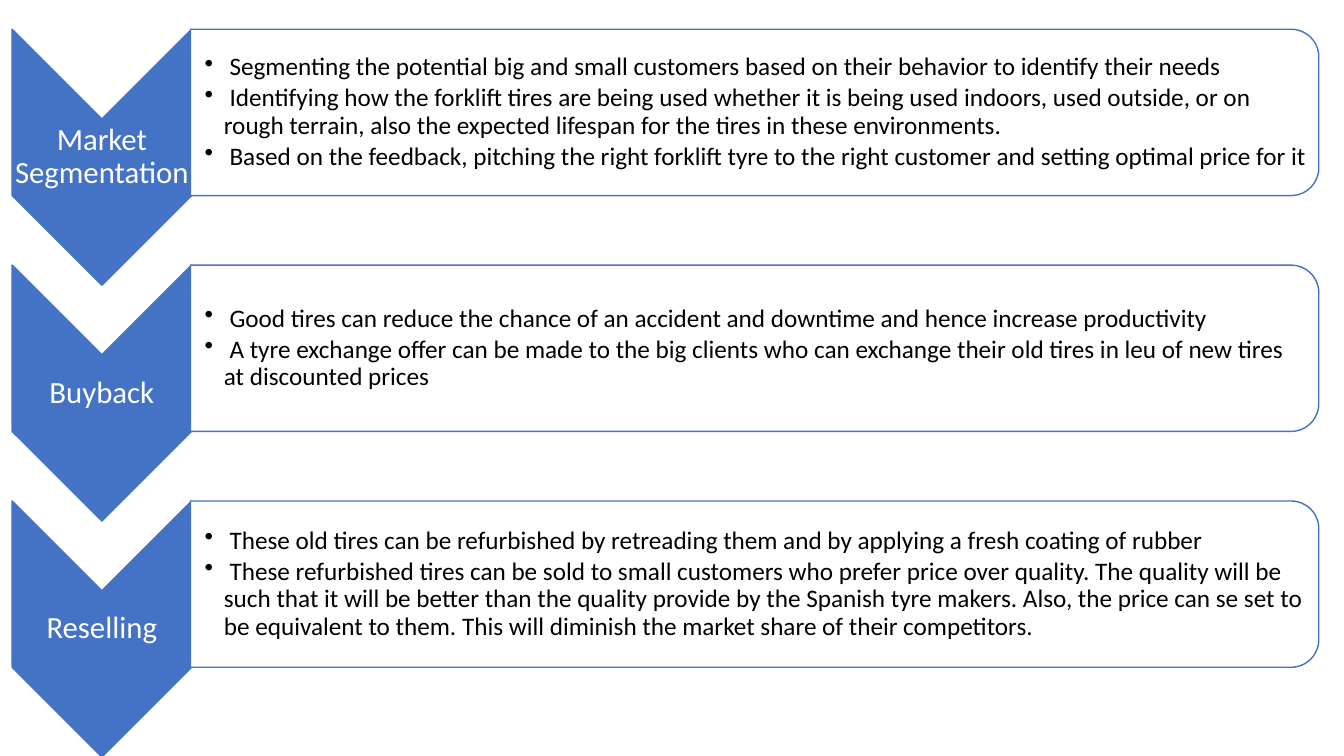
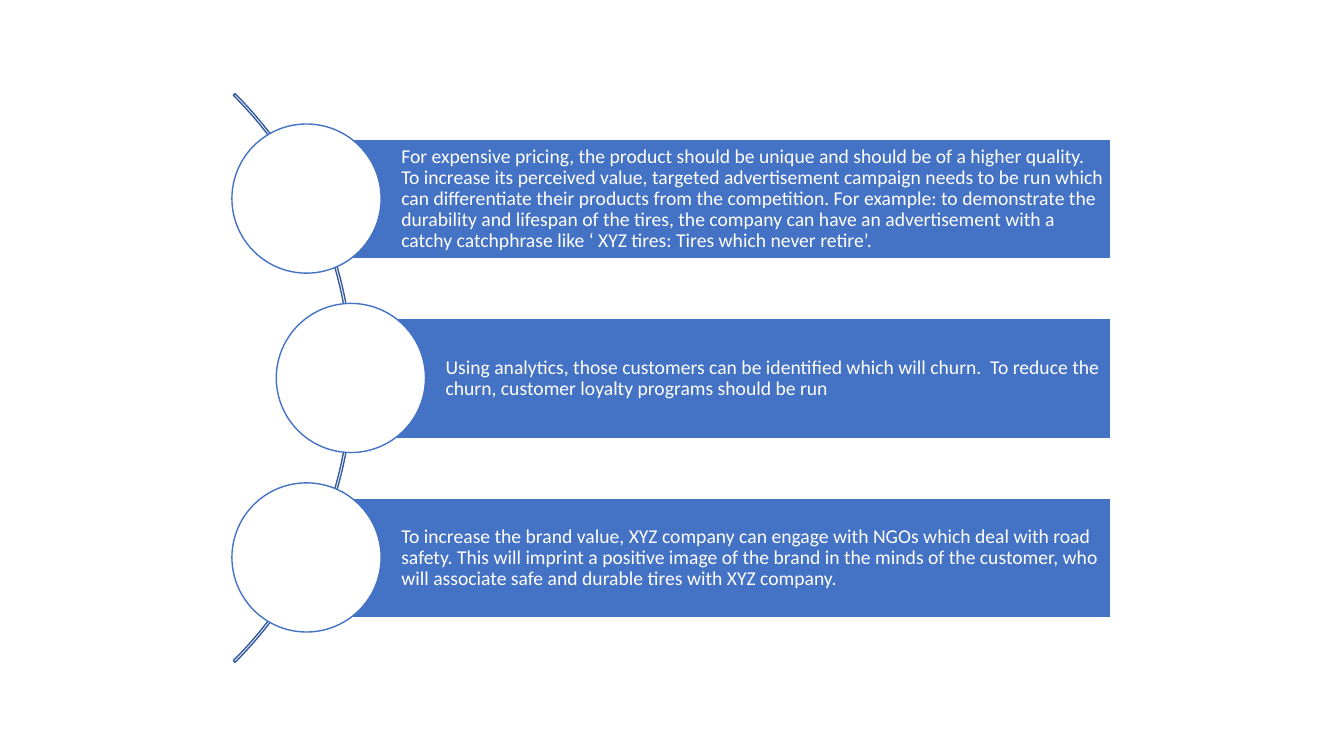
"""Build two slides: a chevron process list and a curved list of recommendations."""
from lxml import etree
from pptx import Presentation
from pptx.dml.color import RGBColor
from pptx.enum.shapes import MSO_SHAPE
from pptx.enum.text import MSO_ANCHOR, PP_ALIGN
from pptx.oxml.ns import qn
from pptx.util import Inches, Pt

CHEVRON = MSO_SHAPE.CHEVRON
ROUND_SIDE = MSO_SHAPE.ROUND_2_SAME_RECTANGLE
RECTANGLE = MSO_SHAPE.RECTANGLE
OVAL = MSO_SHAPE.OVAL
BLOCK_ARC = MSO_SHAPE.BLOCK_ARC
MIDDLE = MSO_ANCHOR.MIDDLE
LEFT, CENTER = PP_ALIGN.LEFT, PP_ALIGN.CENTER

FONT = "Calibri"
BLUE, DARK_BLUE, WHITE, BLACK = "4472C4", "365B9D", "FFFFFF", "000000"
BULLET_INDENT = Inches(0.19)

STEPS = [
    ("Market Segmentation", [
        " Segmenting the potential big and small customers based on their behavior to identify their needs",
        " Identifying how the forklift tires are being used whether it is being used indoors, used outside, "
        "or on rough terrain, also the expected lifespan for the tires in these environments.",
        " Based on the feedback, pitching the right forklift tyre to the right customer and setting "
        "optimal price for it",
    ]),
    ("Buyback", [
        " Good tires can reduce the chance of an accident and downtime and hence increase productivity",
        " A tyre exchange offer can be made to the big clients who can exchange their old tires in leu of "
        "new tires at discounted prices",
    ]),
    ("Reselling", [
        " These old tires can be refurbished by retreading them and by applying a fresh coating of rubber",
        " These refurbished tires can be sold to small customers who prefer price over quality. The quality "
        "will be such that it will be better than the quality provide by the Spanish tyre makers. Also, the "
        "price can se set to be equivalent to them. This will diminish the market share of their competitors.",
    ]),
]

RECOMMENDATIONS = [
    (3.04, "For expensive pricing, the product should be unique and should be of a higher quality. To increase "
           "its perceived value, targeted advertisement campaign needs to be run which can differentiate their "
           "products from the competition. For example: to demonstrate the durability and lifespan of the tires, "
           "the company can have an advertisement with a catchy catchphrase like ‘ XYZ tires: Tires which never "
           "retire’."),
    (3.48, "Using analytics, those customers can be identified which will churn.  To reduce the churn, customer "
           "loyalty programs should be run"),
    (3.04, "To increase the brand value, XYZ company can engage with NGOs which deal with road safety. This will "
           "imprint a positive image of the brand in the minds of the customer, who will associate safe and "
           "durable tires with XYZ company."),
]


def add_box(slide, kind, left, top, width, height, fill, line, turned=False):
    """Add a shape that covers the given area, turned a quarter clockwise if asked."""
    if turned:
        left, top = left + (width - height) / 2, top + (height - width) / 2
        width, height = height, width
    shape = slide.shapes.add_shape(kind, Inches(left), Inches(top), Inches(width), Inches(height))
    shape.rotation = 90 if turned else 0
    shape.shadow.inherit = False
    if fill:
        shape.fill.solid()
        shape.fill.fore_color.rgb = RGBColor.from_string(fill)
    else:
        shape.fill.background()
    shape.line.color.rgb = RGBColor.from_string(line)
    shape.line.width = Pt(1)
    return shape


def write_text(shape, texts, size, color, left_inset, inset, align=LEFT, bulleted=False):
    """Write one paragraph per text, vertically centred in the shape."""
    frame = shape.text_frame
    frame.word_wrap = True
    frame.vertical_anchor = MIDDLE
    frame.margin_left = Inches(left_inset)
    frame.margin_right = frame.margin_top = frame.margin_bottom = Inches(inset)
    for index, text in enumerate(texts):
        paragraph = frame.add_paragraph() if index else frame.paragraphs[0]
        paragraph.alignment = align
        paragraph.line_spacing = 0.9
        if bulleted:
            paragraph.level = 1
            paragraph.space_after = Pt(size * 0.15)
            properties = paragraph._p.get_or_add_pPr()
            properties.set("marL", str(BULLET_INDENT))
            properties.set("indent", str(-BULLET_INDENT))
            etree.SubElement(properties, qn("a:buChar")).set("char", "•")
        run = paragraph.add_run()
        run.text = text
        run.font.name = FONT
        run.font.size = Pt(size)
        run.font.color.rgb = RGBColor.from_string(color)


presentation = Presentation()
presentation.slide_width = Inches(13.33)
presentation.slide_height = Inches(7.5)
blank = presentation.slide_layouts[6]

process = presentation.slides.add_slide(blank)
for row, (title, points) in enumerate(STEPS):
    top = 0.29 + row * 2.34
    add_box(process, CHEVRON, 0.12, top, 1.78, 2.54, BLUE, BLUE, turned=True)
    label = process.shapes.add_textbox(Inches(0.12), Inches(top + 0.89), Inches(1.78), Inches(0.76))
    write_text(label, [title], 22, WHITE, 0.02, 0.02, CENTER)
    add_box(process, ROUND_SIDE, 1.89, top, 11.19, 1.65, WHITE, BLUE, turned=True)
    details = process.shapes.add_textbox(Inches(1.89), Inches(top + 0.08), Inches(11.11), Inches(1.49))
    write_text(details, points, 18, BLACK, 0.14, 0.01, bulleted=True)

curve = presentation.slides.add_slide(blank)
arc = add_box(curve, BLOCK_ARC, -4.48, -0.24, 7.98, 7.98, None, DARK_BLUE)
for index, value in enumerate((189, 27, 0.003)):
    arc.adjustments[index] = value
for row, (left, text) in enumerate(RECOMMENDATIONS):
    top = 1.38 + row * 1.78
    bar = add_box(curve, RECTANGLE, left, top, 11.02 - left, 1.19, BLUE, WHITE)
    write_text(bar, [text], 14, WHITE, 0.94, 0.04)
    add_box(curve, OVAL, left - 0.74, top - 0.15, 1.48, 1.48, WHITE, BLUE)

presentation.save("out.pptx")
